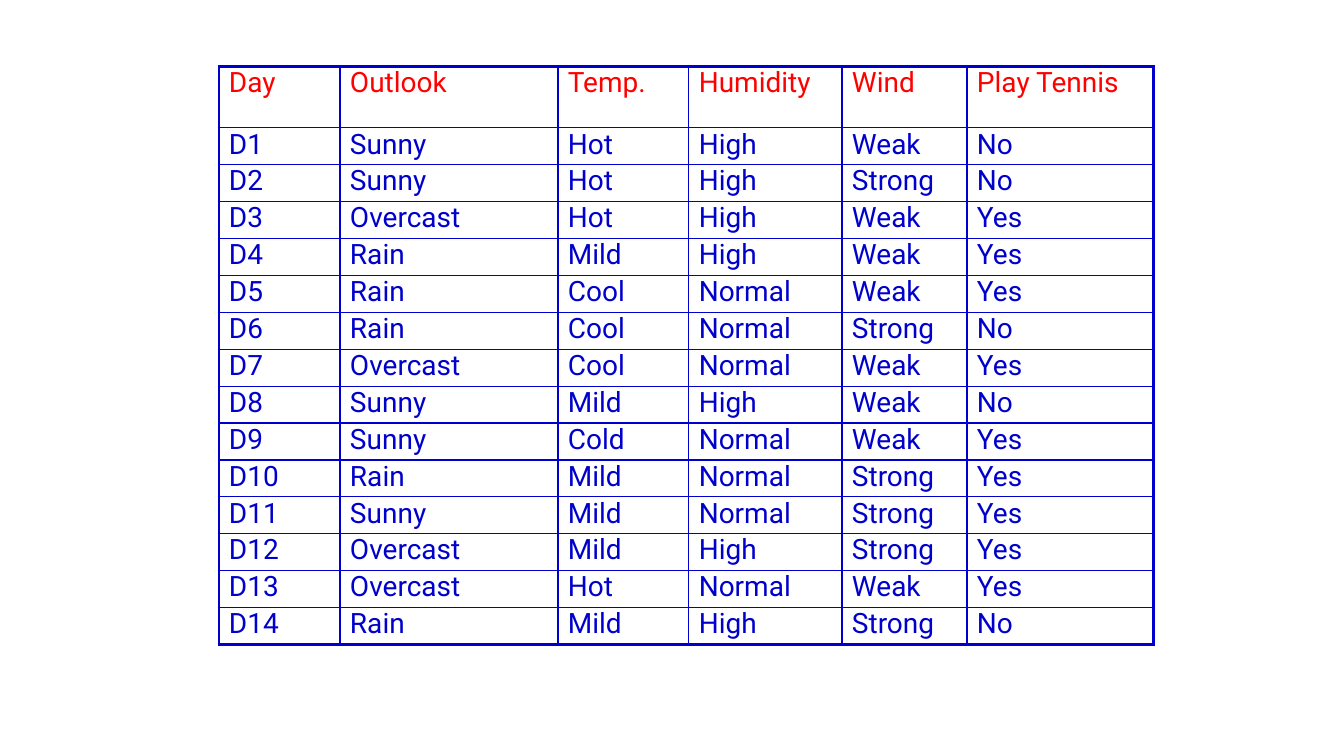
from dataclasses import dataclass

from lxml.etree import SubElement as SubEl
from pptx import Presentation
from pptx.dml.color import RGBColor as Rgb
from pptx.enum.text import MSO_ANCHOR as Anchor
from pptx.oxml.ns import qn
from pptx.util import Cm, Pt


@dataclass(frozen=True)
class Theme:
    """Colours, type and line widths of the slide."""
    font: str = "Roboto"
    text_size: int = 20
    heading: str = "FF0000"
    ink: str = "0000CC"
    inner_line: float = 1
    outer_line: float = 2.25


ATTRIBUTES = ["Day", "Outlook", "Temp.", "Humidity", "Wind", "Play Tennis"]
OBSERVATIONS = [
    ["Sunny", "Hot", "High", "Weak", "No"],
    ["Sunny", "Hot", "High", "Strong", "No"],
    ["Overcast", "Hot", "High", "Weak", "Yes"],
    ["Rain", "Mild", "High", "Weak", "Yes"],
    ["Rain", "Cool", "Normal", "Weak", "Yes"],
    ["Rain", "Cool", "Normal", "Strong", "No"],
    ["Overcast", "Cool", "Normal", "Weak", "Yes"],
    ["Sunny", "Mild", "High", "Weak", "No"],
    ["Sunny", "Cold", "Normal", "Weak", "Yes"],
    ["Rain", "Mild", "Normal", "Strong", "Yes"],
    ["Sunny", "Mild", "Normal", "Strong", "Yes"],
    ["Overcast", "Mild", "High", "Strong", "Yes"],
    ["Overcast", "Hot", "Normal", "Weak", "Yes"],
    ["Rain", "Mild", "High", "Strong", "No"],
]
COLUMN_WIDTHS = [3.05, 5.49, 3.3, 3.86, 3.15, 4.7]
HEADING_HEIGHT, DAY_HEIGHT = 1.54, 0.93


def apply(target, formats):
    """Set every attribute named in formats on target."""
    for attribute, value in formats.items():
        setattr(target, attribute, value)


class SlideBuilder:
    """Draws styled elements on one slide."""

    def __init__(self, slide, theme):
        self.slide = slide
        self.theme = theme

    def table(self, left, top, widths, heights, content):
        """Add a ruled table with a heavier outer frame."""
        grid = self.slide.shapes.add_table(
            len(content), len(widths), Cm(left), Cm(top),
            Cm(sum(widths)), Cm(sum(heights))).table
        apply(grid, {"first_row": False, "horz_banding": False})
        for column, width in zip(grid.columns, widths):
            column.width = Cm(width)
        for row, height in zip(grid.rows, heights):
            row.height = Cm(height)
        last_row, last_column = len(content) - 1, len(widths) - 1
        for r, words in enumerate(content):
            for c, word in enumerate(words):
                cell = grid.cell(r, c)
                self.cell_text(cell, word, self.theme.ink if r else self.theme.heading)
                self.borders(cell, {"L": c == 0, "R": c == last_column,
                                    "T": r == 0, "B": r == last_row})
                cell.fill.background()

    def cell_text(self, cell, word, color):
        """Write one word or label into a cell."""
        cell.text = word
        apply(cell, {"margin_left": Cm(0.25), "margin_right": Cm(0.25),
                     "margin_top": Cm(0.13), "margin_bottom": Cm(0.13),
                     "vertical_anchor": Anchor.TOP})
        paragraph = cell.text_frame.paragraphs[0]
        paragraph.line_spacing = 0.8
        font = paragraph.runs[0].font
        apply(font, {"name": self.theme.font, "size": Pt(self.theme.text_size),
                     "bold": False})
        font.color.rgb = Rgb.from_string(color)

    def borders(self, cell, outer_sides):
        """Rule the four sides of a cell, heavier where it meets the frame."""
        properties = cell._tc.get_or_add_tcPr()
        for side, is_outer in outer_sides.items():
            width = self.theme.outer_line if is_outer else self.theme.inner_line
            line = SubEl(properties, qn(f"a:ln{side}"), w=str(Pt(width)))
            SubEl(SubEl(line, qn("a:solidFill")), qn("a:srgbClr"), val=self.theme.ink)


def main():
    """Build the slide with the table of tennis days."""
    deck = Presentation()
    apply(deck, {"slide_width": Cm(33.87), "slide_height": Cm(19.05)})
    builder = SlideBuilder(deck.slides.add_slide(deck.slide_layouts[6]), Theme())
    days = [[f"D{number}", *values] for number, values in enumerate(OBSERVATIONS, 1)]
    heights = [HEADING_HEIGHT] + [DAY_HEIGHT] * len(days)
    builder.table(5.52, 1.68, COLUMN_WIDTHS, heights, [ATTRIBUTES, *days])
    deck.save("out.pptx")


if __name__ == "__main__":
    main()
